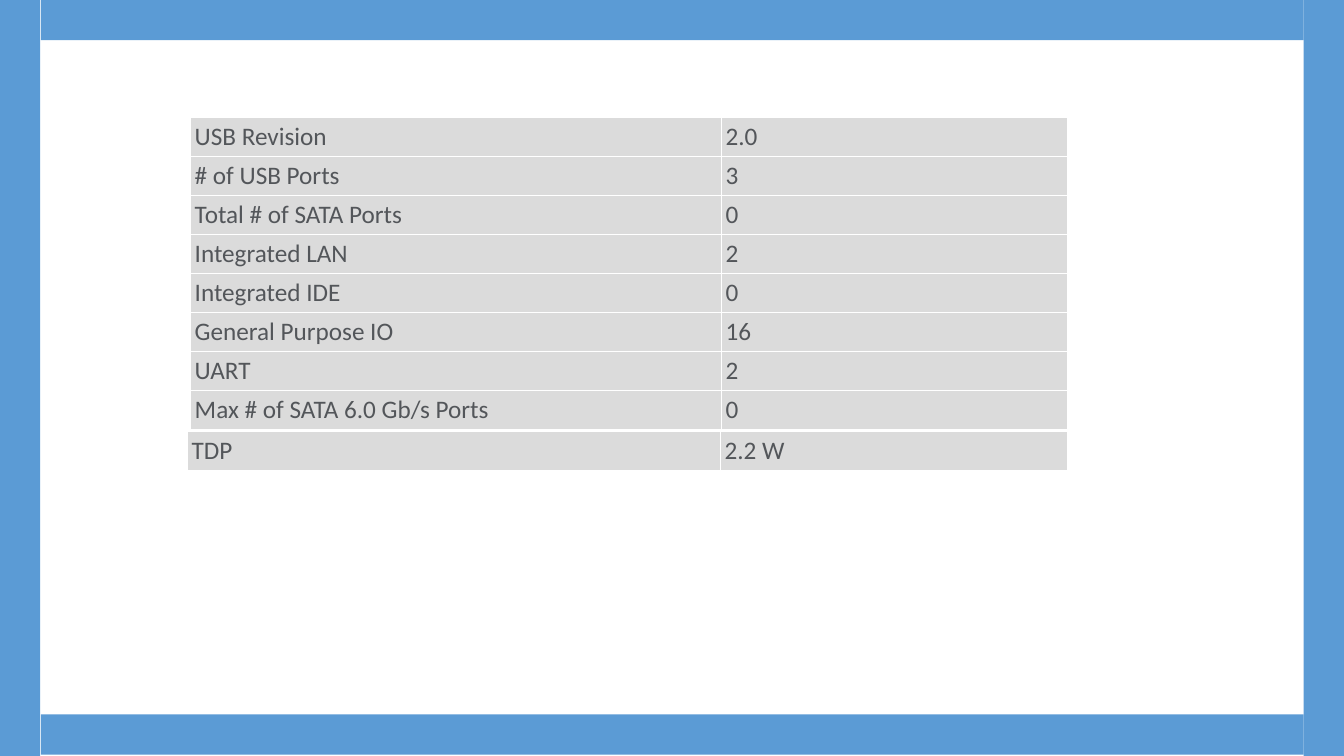
from lxml import etree
from pptx import Presentation
from pptx.dml.color import RGBColor
from pptx.enum import shapes, text
from pptx.oxml import ns
from pptx.util import Pt

WIDTH, HEIGHT, BAR = 960, 540, 28.8
ROW = 27.9
PORTS = [
    ("USB Revision", "2.0"),
    ("# of USB Ports", "3"),
    ("Total # of SATA Ports", "0"),
    ("Integrated LAN", "2"),
    ("Integrated IDE", "0"),
    ("General Purpose IO", "16"),
    ("UART", "2"),
    ("Max # of SATA 6.0 Gb/s Ports", "0"),
]
POWER = [("TDP", "2.2 W")]


def paint(fill, color):
    """Give a fill one solid colour."""
    fill.solid()
    fill.fore_color.rgb = RGBColor.from_string(color)


def add_bar(slide, left, top, width, height):
    """Draw one bar of the slide frame."""
    bar = slide.shapes.add_shape(
        shapes.MSO_SHAPE.RECTANGLE, Pt(left), Pt(top), Pt(width), Pt(height))
    bar.shadow.inherit = False
    bar.line.fill.background()
    paint(bar.fill, "5B9BD5")


def add_edges(cell):
    """Put thin white lines around a cell."""
    props = cell._tc.get_or_add_tcPr()
    for place, side in enumerate(("lnL", "lnR", "lnT", "lnB")):
        line = etree.Element(ns.qn("a:" + side), w=str(Pt(0.6)))
        solid = etree.SubElement(line, ns.qn("a:solidFill"))
        etree.SubElement(solid, ns.qn("a:srgbClr"), val="FFFFFF")
        props.insert(place, line)


def fill_cell(cell, words):
    """Write and style one cell."""
    cell.margin_left = cell.margin_right = Pt(2.9)
    cell.margin_top = cell.margin_bottom = Pt(2.9)
    cell.vertical_anchor = text.MSO_ANCHOR.MIDDLE
    run = cell.text_frame.paragraphs[0].add_run()
    run.text = words
    run.font.size = Pt(18)
    run.font.name = "Calibri"
    paint(run.font.fill, "53565A")
    paint(cell.fill, "DBDBDB")
    add_edges(cell)


def add_grid(slide, left, top, widths, rows):
    """Add a table with equal row heights."""
    frame = slide.shapes.add_table(
        len(rows), len(widths), Pt(left), Pt(top),
        Pt(sum(widths)), Pt(ROW * len(rows)))
    grid = frame.table
    grid.first_row = grid.horz_banding = False
    for col, width in zip(grid.columns, widths):
        col.width = Pt(width)
    for row, words in zip(grid.rows, rows):
        row.height = Pt(ROW)
        for cell, word in zip(row.cells, words):
            fill_cell(cell, word)


def main():
    """Build the slide and save it."""
    deck = Presentation()
    deck.slide_width, deck.slide_height = Pt(WIDTH), Pt(HEIGHT)
    slide = deck.slides.add_slide(deck.slide_layouts[6])
    add_grid(slide, 136.2, 83.6, (379.2, 246.8), PORTS)
    add_grid(slide, 134, 308.2, (380.7, 247.6), POWER)
    for left in (0, WIDTH - BAR):
        add_bar(slide, left, 0, BAR, HEIGHT)
    for top in (0, 510.2):
        add_bar(slide, 29.1, top, 902, BAR)
    deck.save("out.pptx")


if __name__ == "__main__":
    main()
